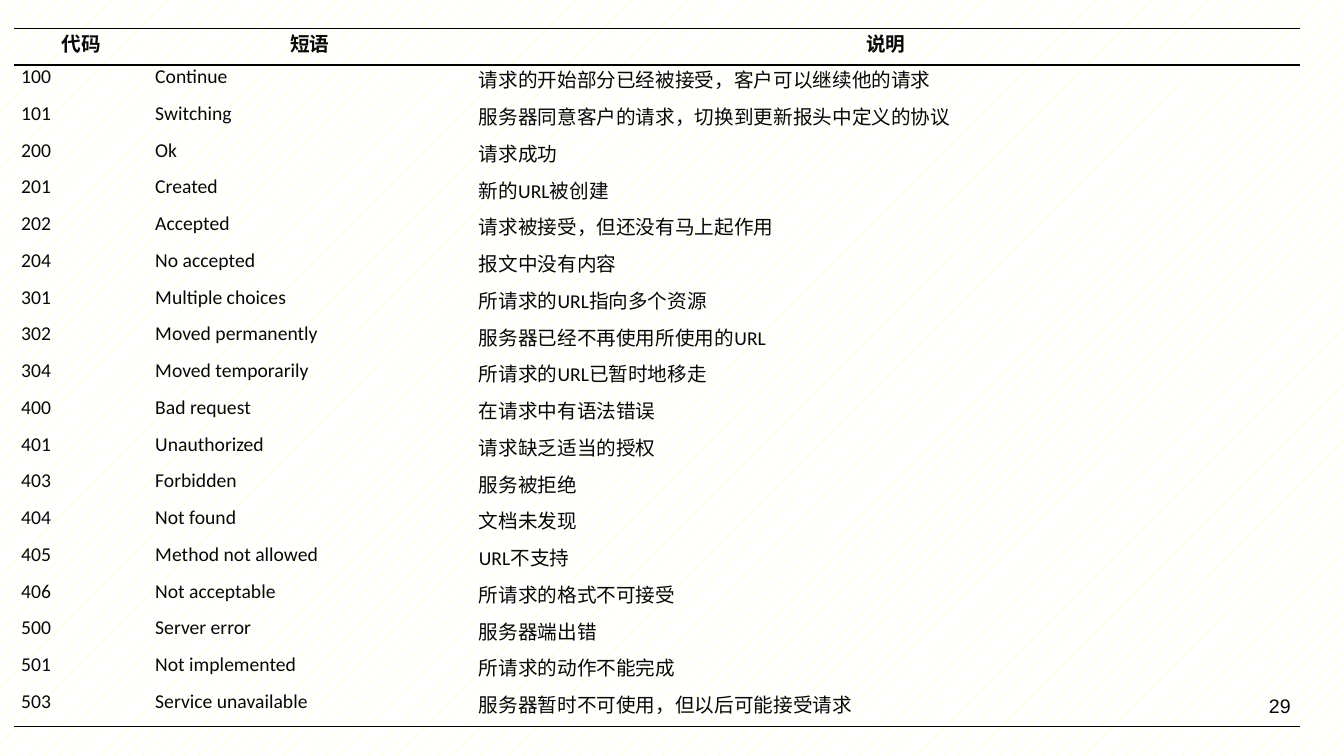
"""Build a slide with a table of HTTP status codes."""
from lxml.etree import SubElement
from pptx import Presentation
from pptx.dml.color import RGBColor
from pptx.enum.dml import MSO_PATTERN
from pptx.enum.text import PP_ALIGN
from pptx.oxml.ns import qn
from pptx.util import Inches, Pt

HEADER = ("代码", "短语", "说明")
STATUSES = [
    ("100", "Continue", "请求的开始部分已经被接受，客户可以继续他的请求"),
    ("101", "Switching", "服务器同意客户的请求，切换到更新报头中定义的协议"),
    ("200", "Ok", "请求成功"),
    ("201", "Created", "新的URL被创建"),
    ("202", "Accepted", "请求被接受，但还没有马上起作用"),
    ("204", "No accepted", "报文中没有内容"),
    ("301", "Multiple choices", "所请求的URL指向多个资源"),
    ("302", "Moved permanently", "服务器已经不再使用所使用的URL"),
    ("304", "Moved temporarily", "所请求的URL已暂时地移走"),
    ("400", "Bad request", "在请求中有语法错误"),
    ("401", "Unauthorized", "请求缺乏适当的授权"),
    ("403", "Forbidden", "服务被拒绝"),
    ("404", "Not found", "文档未发现"),
    ("405", "Method not allowed", "URL不支持"),
    ("406", "Not acceptable", "所请求的格式不可接受"),
    ("500", "Server error", "服务器端出错"),
    ("501", "Not implemented", "所请求的动作不能完成"),
    ("503", "Service unavailable", "服务器暂时不可使用，但以后可能接受请求"),
]
PAGE_NUMBER = "29"

INK = RGBColor(0x08, 0x08, 0x08)
RULE = RGBColor(0, 0, 0)
PAPER = RGBColor(0xFF, 0xFF, 0xFF)
PALE_YELLOW = RGBColor(0xFF, 0xFF, 0x99)

SLIDE_SIZE = (13.33, 7.5)
TABLE_LEFT, TABLE_TOP, TABLE_HEIGHT = 0.14, 0.28, 6.93
COLUMN_WIDTHS = (1.33, 3.21, 8.21)
PAGE_NUMBER_BOX = (9.56, 6.83, 3.34, 0.52)


def format_text(paragraph, font_name, alignment, bold=False):
    paragraph.alignment = alignment
    font = paragraph.font if not paragraph.runs else paragraph.runs[0].font
    font.name, font.size, font.bold = font_name, Pt(14), bold
    font.color.rgb = INK


def set_borders(cell, ruled_edges):
    properties = cell._tc.get_or_add_tcPr()
    for position, edge in enumerate("LRTB"):
        border = SubElement(properties, qn(f"a:ln{edge}"), w=str(Pt(1)))
        if edge in ruled_edges:
            fill = SubElement(border, qn("a:solidFill"))
            SubElement(fill, qn("a:srgbClr"), val=str(RULE))
        else:
            SubElement(border, qn("a:noFill"))
        properties.insert(position, border)


def add_status_table(slide):
    rows = [HEADER, *STATUSES]
    table = slide.shapes.add_table(
        len(rows), len(HEADER), Inches(TABLE_LEFT), Inches(TABLE_TOP),
        Inches(sum(COLUMN_WIDTHS)), Inches(TABLE_HEIGHT)).table
    table.first_row = table.horz_banding = False
    for column, width in zip(table.columns, COLUMN_WIDTHS):
        column.width = Inches(width)
    ruled = {0: "TB", 1: "T", len(rows) - 1: "B"}
    for row_index, texts in enumerate(rows):
        table.rows[row_index].height = Inches(TABLE_HEIGHT / len(rows))
        is_header = row_index == 0
        alignment = PP_ALIGN.CENTER if is_header else PP_ALIGN.JUSTIFY
        for column_index, text in enumerate(texts):
            cell = table.cell(row_index, column_index)
            cell.margin_left = cell.margin_right = Inches(0.07)
            cell.margin_top = cell.margin_bottom = 0
            cell.text_frame.text = text
            format_text(cell.text_frame.paragraphs[0], "Calibri", alignment, is_header)
            cell.fill.background()
            set_borders(cell, ruled.get(row_index, ""))


def add_page_number(slide):
    frame = slide.shapes.add_textbox(*map(Inches, PAGE_NUMBER_BOX)).text_frame
    frame.word_wrap = True
    frame.text = PAGE_NUMBER
    format_text(frame.paragraphs[0], "Arial", PP_ALIGN.RIGHT)


def main():
    deck = Presentation()
    deck.slide_width, deck.slide_height = map(Inches, SLIDE_SIZE)
    slide = deck.slides.add_slide(deck.slide_layouts[6])
    backdrop = slide.background.fill
    backdrop.patterned()
    backdrop.pattern = MSO_PATTERN.PERCENT_5
    backdrop.fore_color.rgb = PALE_YELLOW
    backdrop.back_color.rgb = PAPER
    add_page_number(slide)
    add_status_table(slide)
    deck.save("out.pptx")


if __name__ == "__main__":
    main()
